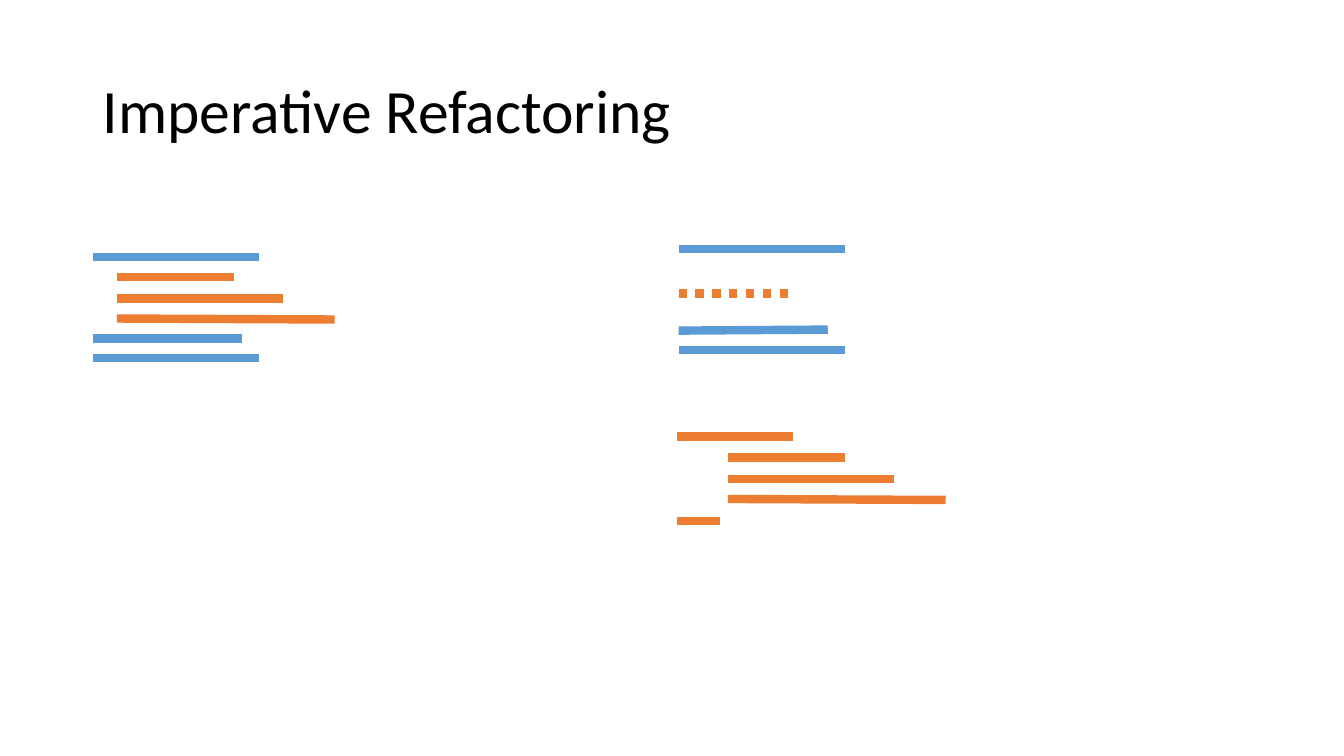
from lxml.etree import SubElement
from pptx import Presentation
from pptx.dml.color import RGBColor
from pptx.enum.dml import MSO_LINE
from pptx.enum.shapes import MSO_CONNECTOR
from pptx.enum.text import MSO_ANCHOR
from pptx.oxml.ns import qn
from pptx.util import Inches, Pt

BLUE, ORANGE = "5B9BD5", "ED7D31"


def rgb(color):
    return RGBColor.from_string(color)


def add_code_line(s, x, y, width, color, drop=0):
    """Draw one line of code as a thick bar; drop is the fall from left to right."""
    c = s.shapes.add_connector(MSO_CONNECTOR.STRAIGHT, Inches(x), Inches(y),
                               Inches(x + width), Inches(y + drop))
    c.line.color.rgb = rgb(color)
    c.line.width = Pt(6)
    SubElement(c._element.spPr, qn("a:effectLst"))
    return c


prs = Presentation()
prs.slide_width, prs.slide_height = Inches(13.33), Inches(7.5)
s = prs.slides.add_slide(prs.slide_layouts[6])

# Title
tf = s.shapes.add_textbox(Inches(0.92), Inches(0.4), Inches(11.5), Inches(1.45)).text_frame
tf.word_wrap = True
tf.vertical_anchor = MSO_ANCHOR.MIDDLE
p = tf.paragraphs[0]
p.text = "Imperative Refactoring"
p.line_spacing = 0.9
p.font.name = "Calibri"
p.font.size = Pt(44)
p.font.color.rgb = rgb("000000")

# Surrounding code: before on the left, after on the right
for x, first, second, third, drop in [(0.92, 2.55, 3.36, 3.55, 0),
                                      (6.73, 2.47, 3.28, 3.47, -0.01)]:
    add_code_line(s, x, first, 1.65, BLUE)
    add_code_line(s, x, second, 1.48, BLUE, drop)
    add_code_line(s, x, third, 1.65, BLUE)

# Block to extract, inline on the left and as the new function's body on the right
for x, y in [(1.16, 2.75), (7.22, 4.54)]:
    add_code_line(s, x, y, 1.16, ORANGE)
    add_code_line(s, x, y + 0.21, 1.65, ORANGE)
    add_code_line(s, x, y + 0.41, 2.16, ORANGE, 0.01)

# Call that replaces the block
call = add_code_line(s, 6.73, 2.91, 1.16, ORANGE)
call.line.dash_style = MSO_LINE.ROUND_DOT

# Opening and closing of the new function
add_code_line(s, 6.71, 4.33, 1.16, ORANGE)
add_code_line(s, 6.71, 5.17, 0.43, ORANGE)

prs.save("out.pptx")
